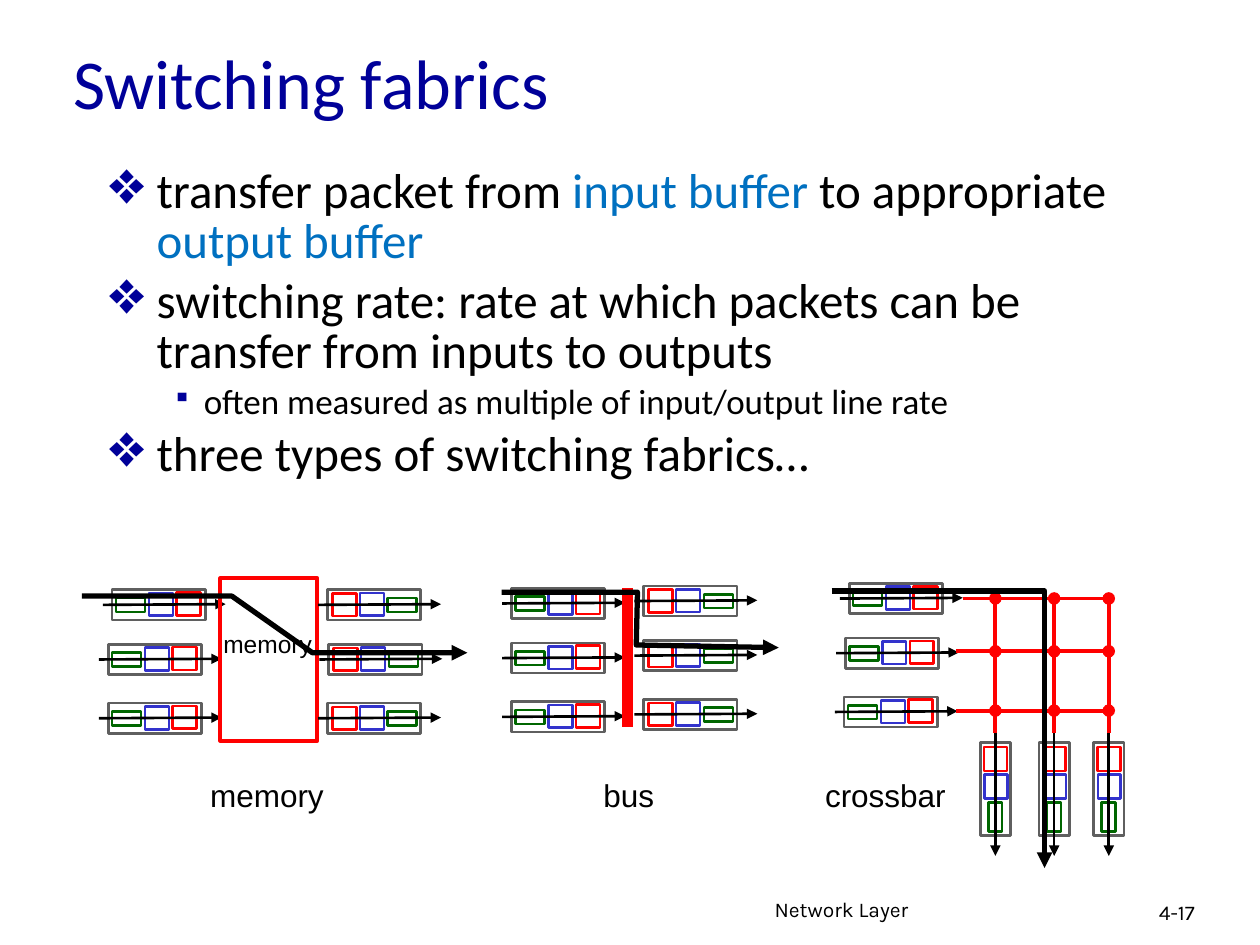
"""Build the slide on switching fabrics: memory, bus and crossbar."""
from dataclasses import dataclass
from itertools import product

from lxml import etree
from pptx import Presentation
from pptx.dml.color import RGBColor
from pptx.enum.shapes import MSO_CONNECTOR, MSO_SHAPE
from pptx.enum.text import MSO_ANCHOR, MSO_AUTO_SIZE, PP_ALIGN
from pptx.oxml.ns import qn
from pptx.util import Pt

RECT, OVAL = MSO_SHAPE.RECTANGLE, MSO_SHAPE.OVAL
STRAIGHT = MSO_CONNECTOR.STRAIGHT
LEFT, MIDDLE = PP_ALIGN.LEFT, MSO_ANCHOR.MIDDLE
NO_FIT, GROW = MSO_AUTO_SIZE.NONE, MSO_AUTO_SIZE.SHAPE_TO_FIT_TEXT

BLACK, WHITE, RED, NAVY = "000000", "FFFFFF", "FF0000", "000099"
GREY, GREEN, INDIGO, AZURE = "5F5F5F", "006600", "3333CC", "0070C0"
BUF_W, BUF_H = 53.3, 17.3
DOT = 7.2
ROW_STEPS = (0, 31.2, 64.8)
COLS = (568.8, 602.4, 633.6)
ROWS = (342, 372.2, 406.1)


@dataclass
class Part:
    """A packet field inside a buffer, relative to its top left corner."""
    x: float
    y: float
    w: float
    h: float
    color: str


@dataclass
class Label:
    """A single-run text box."""
    text: str
    x: float
    y: float
    w: float
    h: float
    size: float
    font: str
    grow: bool = True


@dataclass
class Bullet:
    """A bulleted paragraph made of (text, colour) runs."""
    runs: list
    size: float = 28
    level: int = 0
    char: str = "❖"
    scale: int = 125
    margin: float = 27
    hang: float = 27


def input_parts() -> list[Part]:
    return [Part(2.2, 4.8, 16.6, 7.9, GREEN), Part(21, 1.9, 13.7, 13, INDIGO),
            Part(36.8, 1.6, 13.7, 13, RED)]


def output_parts() -> list[Part]:
    return [Part(34.3, 4.8, 16.6, 7.9, GREEN), Part(18.5, 1.9, 13.7, 13, INDIGO),
            Part(2.7, 2.1, 13.7, 13, RED)]


def rgb(color: str) -> RGBColor:
    return RGBColor.from_string(color)


def add_run(p, text: str, size: float, font: str, color: str) -> None:
    r = p.add_run()
    r.text = text
    r.font.size, r.font.name = Pt(size), font
    r.font.color.rgb = rgb(color)


def style_line(sp, color: str, width: float, arrow: bool = False) -> None:
    sp.line.color.rgb = rgb(color)
    sp.line.width = Pt(width)
    if arrow:
        ln = sp._element.spPr.find(qn("a:ln"))
        etree.SubElement(ln, qn("a:tailEnd"), type="triangle")


def add_box(s, kind, x, y, w, h, fill=None, line=None, width=1.5, turn=0) -> None:
    sp = s.shapes.add_shape(kind, Pt(x), Pt(y), Pt(w), Pt(h))
    sp.shadow.inherit = False
    sp.rotation = turn
    if fill:
        sp.fill.solid()
        sp.fill.fore_color.rgb = rgb(fill)
    else:
        sp.fill.background()
    if line:
        style_line(sp, line, width)
    else:
        sp.line.fill.background()


def add_line(s, x1, y1, x2, y2, color: str, width: float, arrow: bool = False) -> None:
    sp = s.shapes.add_connector(STRAIGHT, Pt(x1), Pt(y1), Pt(x2), Pt(y2))
    style_line(sp, color, width, arrow)
    etree.SubElement(sp._element.spPr, qn("a:effectLst"))


def add_buffer(s, cx: float, cy: float, parts: list[Part], down: bool = False) -> None:
    """Draw a buffer centred on a point, flowing right or down."""
    for part in [Part(0, 0, BUF_W, BUF_H, GREY), *parts]:
        dx = part.x + part.w / 2 - BUF_W / 2
        dy = part.y + part.h / 2 - BUF_H / 2
        if down:
            dx, dy = -dy, dx
        add_box(s, RECT, cx + dx - part.w / 2, cy + dy - part.h / 2, part.w, part.h,
                WHITE, part.color, turn=90 if down else 0)
    start, end = -32, 38.2
    if down:
        add_line(s, cx, cy + start, cx, cy + end, BLACK, 1.5, True)
    else:
        add_line(s, cx + start, cy, cx + end, cy - 0.4, BLACK, 1.5, True)


def add_column(s, lefts: tuple, top: float, parts: list[Part]) -> None:
    for left, step in zip(lefts, ROW_STEPS):
        add_buffer(s, left + BUF_W / 2, top + step + BUF_H / 2, parts)


def add_trace(s, points: list) -> None:
    """Draw the path of one packet through a fabric."""
    start, *rest = [(Pt(x), Pt(y)) for x, y in points]
    fb = s.shapes.build_freeform(*start)
    fb.add_line_segments(rest, close=False)
    sp = fb.convert_to_shape()
    sp.shadow.inherit = False
    sp.fill.background()
    style_line(sp, BLACK, 3, True)


def add_label(s, label: Label) -> None:
    sp = s.shapes.add_textbox(Pt(label.x), Pt(label.y), Pt(label.w), Pt(label.h))
    tf = sp.text_frame
    tf.word_wrap = not label.grow
    tf.auto_size = GROW if label.grow else NO_FIT
    add_run(tf.paragraphs[0], label.text, label.size, label.font, BLACK)


def add_bullets(s, bullets: list[Bullet]) -> None:
    tf = s.shapes.add_textbox(Pt(55.4), Pt(92.9), Pt(612), Pt(365.8)).text_frame
    tf.word_wrap = True
    for i, b in enumerate(bullets):
        p = tf.add_paragraph() if i else tf.paragraphs[0]
        p.level, p.line_spacing, p.space_before = b.level, 0.85, Pt(b.size * 0.2)
        pPr = p._p.get_or_add_pPr()
        pPr.set("marL", str(Pt(b.margin)))
        pPr.set("indent", str(-Pt(b.hang)))
        clr = etree.SubElement(pPr, qn("a:buClr"))
        etree.SubElement(clr, qn("a:srgbClr"), val=NAVY)
        etree.SubElement(pPr, qn("a:buSzPct"), val=str(b.scale * 1000))
        etree.SubElement(pPr, qn("a:buChar"), char=b.char)
        for text, color in b.runs:
            add_run(p, text, b.size, "Calibri", color)


def main() -> None:
    prs = Presentation()
    prs.slide_width, prs.slide_height = Pt(720), Pt(540)
    s = prs.slides.add_slide(prs.slide_layouts[5])

    title = s.shapes.title
    title.left, title.top, title.width, title.height = Pt(34.6), Pt(19.4), Pt(612), Pt(54)
    tf = title.text_frame
    tf.auto_size, tf.vertical_anchor = NO_FIT, MIDDLE
    tf.paragraphs[0].alignment = LEFT
    add_run(tf.paragraphs[0], "Switching fabrics", 40, "Calibri", NAVY)

    add_bullets(s, [
        Bullet([("transfer packet from ", BLACK), ("input buffer", AZURE),
                (" to appropriate ", BLACK), ("output buffer", AZURE)]),
        Bullet([("switching rate: rate at which packets can be transfer from inputs to outputs",
                 BLACK)]),
        Bullet([("often measured as multiple of input/output line rate", BLACK)],
               20, 1, "▪", 75, 54, 18),
        Bullet([("three types of switching fabrics…", BLACK)])])

    add_column(s, (64.1, 61.9, 61.9), 337, input_parts())
    add_box(s, RECT, 126, 330.5, 55.4, 92.9, line=RED, width=2.25)
    add_column(s, (187.2, 187.9, 187.2), 337, output_parts())

    add_column(s, (292.3, 292.3, 292.3), 336.2, input_parts())
    add_line(s, 358.6, 336.2, 358.6, 415.4, RED, 6)
    add_column(s, (367.9, 367.9, 367.9), 334.8, output_parts())

    add_column(s, (485.3, 483.1, 482.4), 333.4, input_parts())
    for x in reversed(COLS):
        add_buffer(s, x, 450.9, output_parts(), down=True)
    for x, y in zip((550.1, 546.5, 546.5), ROWS):
        add_line(s, x, y, COLS[-1], y, RED, 2.25)
    for x in COLS:
        add_line(s, x, 419, x, ROWS[0], RED, 2.25)
    for x, y in product(COLS, ROWS):
        add_box(s, OVAL, x - DOT / 2, y - DOT / 2, DOT, DOT, RED)

    for label in [Label("memory", 113, 439.9, 79.2, 28.8, 18, "Arial"),
                  Label("memory", 120.5, 355.7, 68, 23.8, 14, "Arial"),
                  Label("bus", 337.7, 439.9, 43.2, 28.8, 18, "Arial"),
                  Label("crossbar", 464.4, 439.9, 83.5, 28.8, 18, "Arial"),
                  Label("Network Layer", 435.6, 509, 228.2, 22.3, 12, "Karla", False),
                  Label("4-17", 655.2, 510.5, 53.3, 21.6, 12, "Karla", False)]:
        add_label(s, label)

    add_trace(s, [(46.8, 340.6), (132.5, 340.6), (178.6, 373), (267.1, 373)])
    add_trace(s, [(286.6, 338.4), (364.3, 338.4), (363.6, 368.6), (445, 370.1)])
    add_trace(s, [(475.2, 337.7), (596.9, 337.7), (596.9, 496.1)])
    prs.save("out.pptx")


if __name__ == "__main__":
    main()
